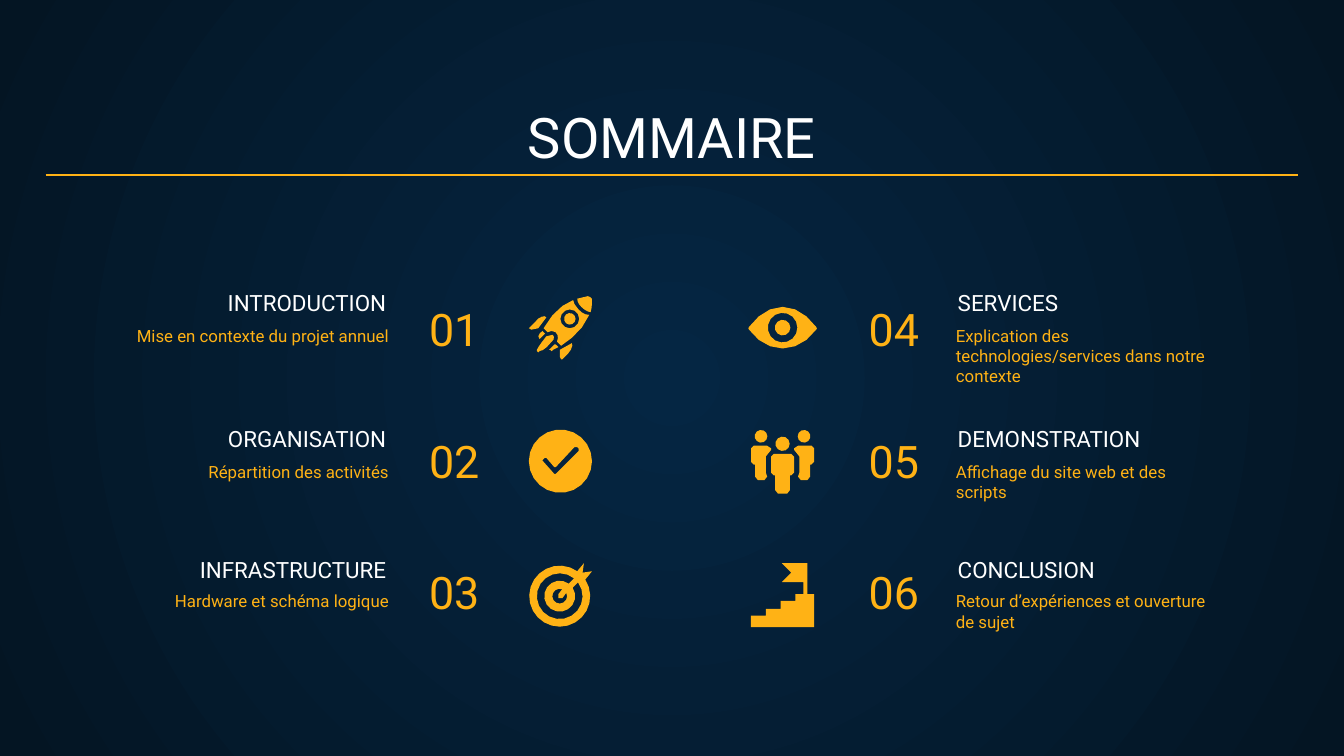
import math

import pptx
import pptx.dml.color
import pptx.enum.shapes
import pptx.enum.text
import pptx.oxml
import pptx.oxml.ns
import pptx.util

RGBColor = pptx.dml.color.RGBColor
WHITE = RGBColor(0xFF, 0xFF, 0xFF)
AMBER = RGBColor(0xFF, 0xB2, 0x15)
NAVY = RGBColor(0x05, 0x26, 0x43)
MIDNIGHT = RGBColor(0x04, 0x15, 0x23)

COLUMNS = 100
LEFT = pptx.enum.text.PP_ALIGN.LEFT
CENTER = pptx.enum.text.PP_ALIGN.CENTER
RIGHT = pptx.enum.text.PP_ALIGN.RIGHT
ICON_SIZE = 4.7
CURVE_STEPS = 3


def arc(x, y, radius, start=0, end=360):
    steps = round(8 + 6 * radius)
    angles = [math.radians(start + (end - start) * i / steps) for i in range(steps + 1)]
    return [(x + radius * math.cos(a), y + radius * math.sin(a)) for a in angles]


def circle(x, y, radius):
    return arc(x, y, radius)[:-1]


def mirror(points):
    return [(ICON_SIZE - x, y) for x, y in reversed(points)]


def trace(contour):
    points = []
    for step in contour:
        if len(step) == 2:
            points.append(step)
            continue
        nodes = [points[-1], step[:2], step[2:4], step[4:]]
        for i in range(1, CURVE_STEPS + 1):
            t = i / CURVE_STEPS
            weights = ((1 - t) ** 3, 3 * t * (1 - t) ** 2, 3 * t * t * (1 - t), t ** 3)
            points.append(tuple(sum(w * node[axis] for w, node in zip(weights, nodes))
                                for axis in (0, 1)))
    return points


def rocket():
    window = (3.05, 1.7)
    sparks = [
        [(1, 2.6), (0.8, 2.8), (0.7, 3), (0.8, 3.2), (1.1, 2.9), (1.2, 2.8)],
        [(2, 3.6), (1.9, 3.6), (1.5, 4), (1.6, 4), (1.7, 4.1), (1.8, 4), (2.2, 3.8)],
    ]
    flame = [(1.7, 2.9), (1.3, 3), (0.9, 3.5, 0.7, 3.8, 0.6, 4),
             (0.6, 4.1), (0.7, 4.2), (0.8, 4.1), (1, 4.1, 1.3, 3.9, 1.7, 3.4),
             (1.9, 3.3, 1.9, 3, 1.8, 2.9)]
    left_fin = [(1.2, 1.5), (1, 1.5, 0.7, 1.6, 0.5, 1.9), (0.1, 2.3), (0, 2.4), (0.2, 2.5),
                (0.7, 2.4), (1.3, 1.6)]
    right_fin = [(3.2, 3.5), (2.3, 4), (2.3, 4.5), (2.4, 4.7), (2.5, 4.7), (2.9, 4.3),
                 (3.2, 4, 3.3, 3.6, 3.2, 3.5)]
    nose = [(4.4, 0), (3.6, 0.2), (3.6, 0.4, 3.7, 0.6, 3.9, 0.8),
            (4.1, 1, 4.4, 1.2, 4.6, 1.2), (4.7, 0.9, 4.7, 0.5, 4.7, 0.2), (4.6, 0.1)]
    body = [(3.3, 0.3), (2.5, 0.6, 1.7, 1.3, 1.1, 2.4), (1.4, 2.7), (1.7, 2.6), (2, 2.7),
            (2.2, 2.9, 2.2, 3.1, 2.1, 3.4), (2.4, 3.7), (3.2, 3.2, 4.1, 2.4, 4.5, 1.4),
            (4.2, 1.4, 4, 1.3, 3.7, 1), (3.4, 0.6)]
    parts = sparks + [flame, left_fin, right_fin, circle(*window, 0.43), nose]
    return [[part] for part in parts] + [[body, circle(*window, 0.7)]]


def check():
    tick = [(3.5, 1.3), (3.6, 1.3), (3.7, 1.4), (3.7, 1.6), (2, 3.3), (1.9, 3.3), (1.1, 2.4),
            (1, 2.3), (1.2, 2.1), (1.3, 2.1), (1.9, 2.8), (2, 2.8), (3.4, 1.3)]
    return [[circle(2.35, 2.35, 2.35), tick]]


def target():
    center = (2.3, 2.45)
    outer = arc(*center, 2.27, -55, -393) + [(4.7, 0.6), (4, 0.7), (4.1, 0)]
    middle = arc(*center, 1.7, -51, -397) + arc(*center, 1.15, -393, -54)
    inner = arc(*center, 0.55, -70, -387) + [(2.5, 2.6), (2.2, 2.6), (2.2, 2.3)]
    return [[outer, middle, inner]]


def eye():
    lid = [(2.35, 0.8), (1.4, 0.8, 0.5, 1.4, -0.15, 2.3), (-0.2, 2.4), (-0.15, 2.5),
           (0.5, 3.4, 1.4, 3.9, 2.35, 3.9), (3.3, 3.9, 4.2, 3.4, 4.85, 2.5),
           (4.9, 2.4), (4.85, 2.3), (4.2, 1.4, 3.3, 0.8, 2.35, 0.8)]
    return [[lid, circle(2.35, 2.35, 1.1), circle(2.35, 2.35, 0.58)]]


def team():
    head = circle(0.75, 0.5, 0.47)
    side = [(0.2, 1.2), (0, 1.4), (0, 2.4), (0.2, 2.6), (0.3, 2.6), (0.3, 3.5), (0.5, 3.75),
            (1, 3.75), (1.2, 3.5), (1.1, 3.2), (1.1, 2), (1.5, 1.5), (1.5, 1.4), (1.2, 1.2)]
    half = [(1.7, 1.8), (1.5, 2), (1.5, 3.2), (1.7, 3.4), (1.8, 3.4), (1.8, 4.5), (2, 4.75)]
    parts = [head, side, mirror(head), mirror(side), half + mirror(half),
             circle(2.35, 1.05, 0.53)]
    return [[part] for part in parts]


def stairs():
    return [[[(2.3, 0), (3, 0.7), (2.3, 1.4), (3.9, 1.4), (3.9, 2.3), (3.3, 2.3), (3.3, 2.8),
              (2.2, 2.8), (2.2, 3.4), (1.1, 3.4), (1.1, 3.9), (0, 3.9), (0, 4.75),
              (4.7, 4.75), (4.7, 2.3), (4.2, 2.3), (4.2, 0)]]]


def write(frame, text, size, color, align=LEFT):
    paragraph = frame.paragraphs[0]
    paragraph.alignment = align
    run = paragraph.add_run()
    run.text = text
    run.font.name = "Roboto"
    run.font.size = pptx.util.Pt(size)
    run.font.color.rgb = color


class Deck:
    """Hold the grid, the style and the current slide."""

    def __init__(self):
        self.presentation = pptx.Presentation()
        self.presentation.slide_width = pptx.util.Inches(10)
        self.presentation.slide_height = pptx.util.Inches(5.625)
        self.cell = self.presentation.slide_width / COLUMNS
        self.slide = self.presentation.slides.add_slide(self.presentation.slide_layouts[6])

    def grid(self, *lengths):
        return [round(length * self.cell) for length in lengths]

    def background(self, inner, outer):
        fill = self.slide.background.fill
        fill.gradient()
        for stop, color, position in zip(fill.gradient_stops, (inner, outer), (0, 1)):
            stop.color.rgb = color
            stop.position = position
        linear = next(self.slide.element.iter(pptx.oxml.ns.qn("a:lin")))
        linear.getparent().replace(linear, pptx.oxml.parse_xml(
            f'<a:path {pptx.oxml.ns.nsdecls("a")} path="circle">'
            '<a:fillToRect l="50000" t="50000" r="50000" b="50000"/></a:path>'))

    def text(self, box, text, anchor=pptx.enum.text.MSO_ANCHOR.BOTTOM, **style):
        frame = self.slide.shapes.add_textbox(*self.grid(*box)).text_frame
        frame.word_wrap = True
        frame.auto_size = pptx.enum.text.MSO_AUTO_SIZE.NONE
        frame.vertical_anchor = anchor
        frame.margin_left = frame.margin_right = pptx.util.Inches(0.1)
        frame.margin_top = frame.margin_bottom = pptx.util.Inches(0.1)
        write(frame, text, **style)

    def rule(self, left, right, top):
        line = self.slide.shapes.add_connector(
            pptx.enum.shapes.MSO_CONNECTOR.STRAIGHT, *self.grid(left, top, right, top))
        line.line.color.rgb = AMBER
        line.line.width = pptx.util.Pt(0.75)
        line.element.spPr.append(pptx.oxml.parse_xml(
            f'<a:effectLst {pptx.oxml.ns.nsdecls("a")}/>'))

    def icon(self, left, top, parts):
        shapes = self.slide.shapes
        if len(parts) > 1:
            shapes = shapes.add_group_shape().shapes
        for contours in parts:
            outlines = [[self.grid(left + x, top + y) for x, y in trace(contour)]
                        for contour in contours]
            builder = shapes.build_freeform(*outlines[0][0])
            for index, outline in enumerate(outlines):
                if index:
                    builder.move_to(*outline[0])
                builder.add_line_segments(outline[1:], close=True)
            shape = builder.convert_to_shape()
            shape.shadow.inherit = False
            shape.fill.solid()
            shape.fill.fore_color.rgb = AMBER
            shape.line.fill.background()


def main():
    deck = Deck()
    deck.background(NAVY, MIDNIGHT)
    deck.text((3.4, 7.05, 93.2, 6.6), "SOMMAIRE", size=30, color=WHITE, align=CENTER)
    chapters = [
        ("INTRODUCTION", "Mise en contexte du projet annuel", rocket),
        ("ORGANISATION", "Répartition des activités", check),
        ("INFRASTRUCTURE", "Hardware et schéma logique", target),
        ("SERVICES", "Explication des technologies/services dans notre contexte", eye),
        ("DEMONSTRATION", "Affichage du site web et des scripts", team),
        ("CONCLUSION", "Retour d’expériences et ouverture de sujet", stairs),
    ]
    sides = [
        dict(heading=7.04, detail=7.9, width=22, number=30.94, icon=39.35, outer=RIGHT,
             inner=LEFT),
        dict(heading=70.28, detail=70.14, width=20.7, number=56.46, icon=55.88, outer=LEFT,
             inner=RIGHT),
    ]
    row_tops = [(22.45, 23.2), (32.55, 33.33), (42.3, 42.98)]
    for index, (heading, detail, icon) in enumerate(chapters):
        side, row = sides[index // 3], index % 3
        heading_top, detail_top = row_tops[row]
        deck.text((side["detail"], detail_top, side["width"], 5.5), detail,
                  anchor=pptx.enum.text.MSO_ANCHOR.TOP, size=9, color=AMBER,
                  align=side["outer"])
        deck.text((side["number"], 20.84 + 9.8 * row, 12.9, 6.6), f"{index + 1:02}",
                  size=24, color=AMBER, align=side["inner"])
        deck.text((side["heading"], heading_top, 22.7, 2.1), heading, size=12, color=WHITE,
                  align=side["outer"])
        deck.icon(side["icon"], 22.03 + 9.94 * row, icon())
    deck.rule(3.4, 96.6, 13.03)
    deck.presentation.save("out.pptx")


if __name__ == "__main__":
    main()
